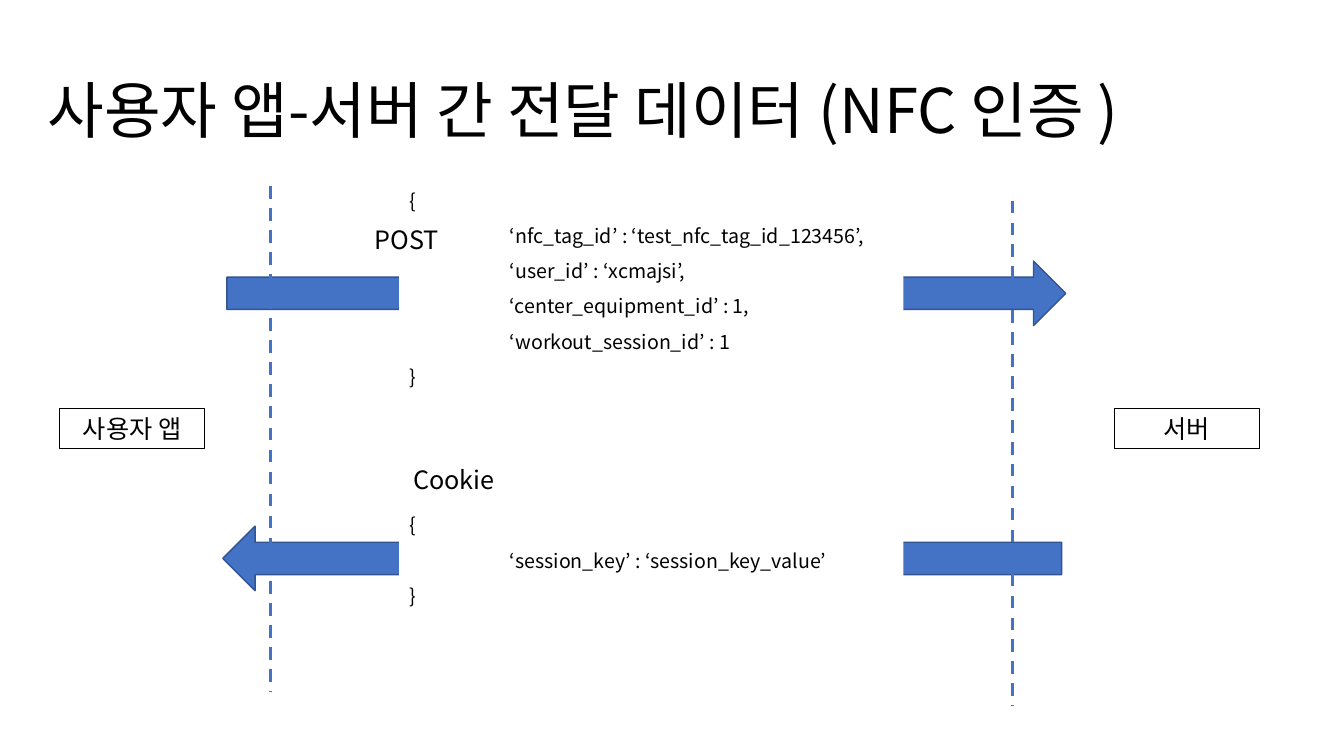
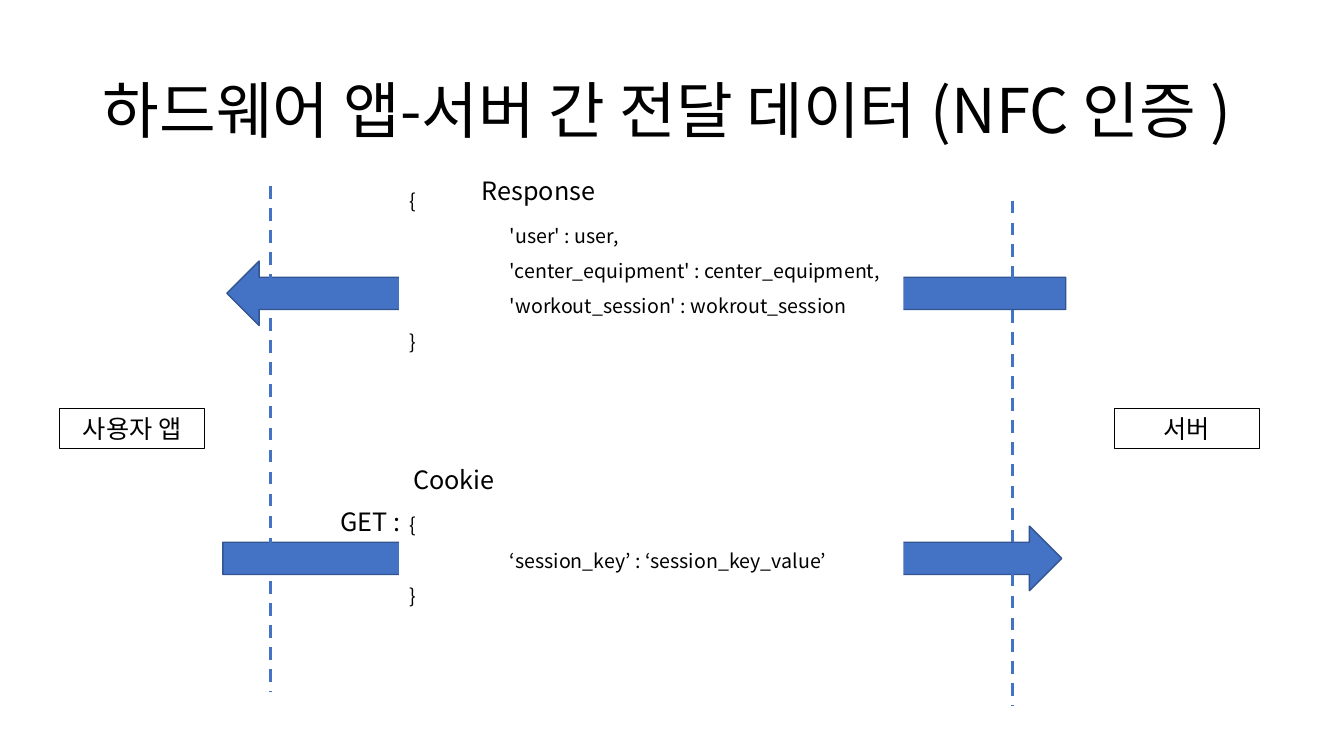
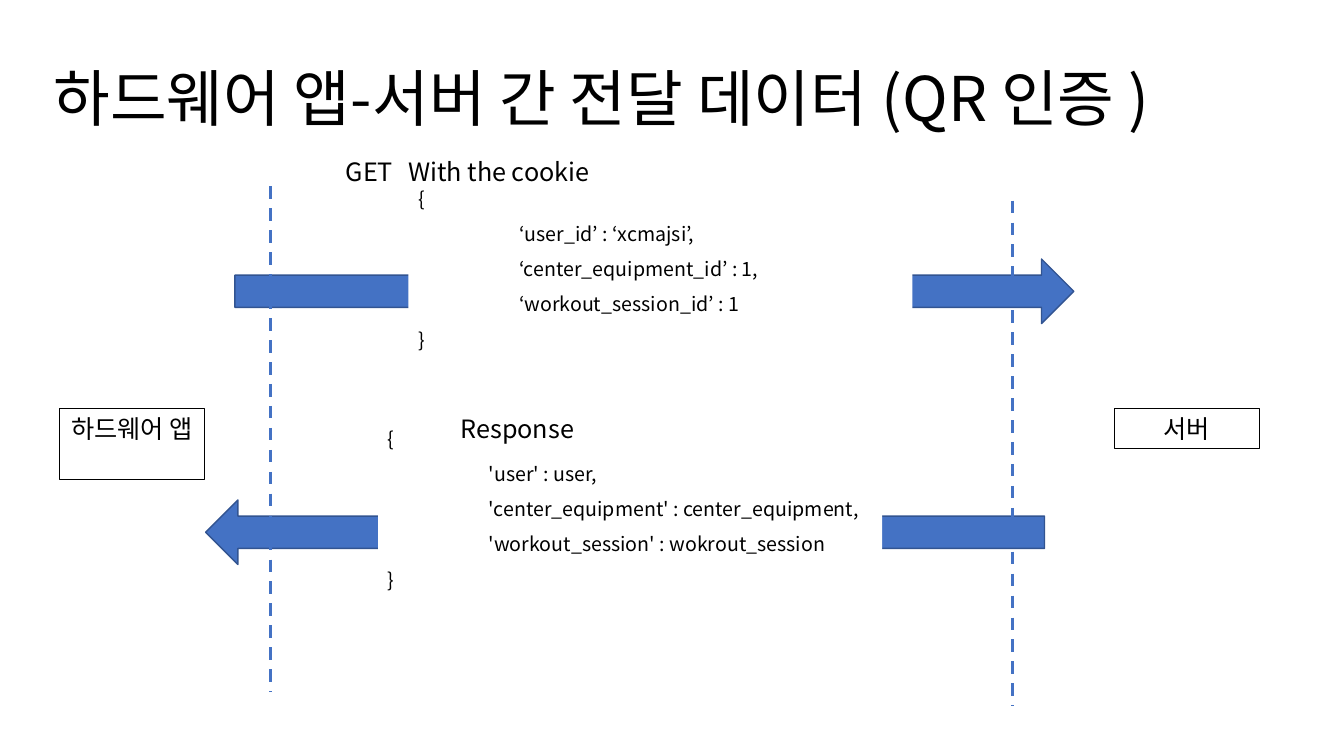
from dataclasses import dataclass

from lxml.etree import SubElement
from pptx import Presentation
from pptx.dml.color import RGBColor
from pptx.enum.dml import MSO_LINE
from pptx.enum.shapes import MSO_CONNECTOR, MSO_SHAPE
from pptx.enum.text import MSO_ANCHOR, MSO_AUTO_SIZE, PP_ALIGN
from pptx.oxml.ns import qn
from pptx.util import Inches, Pt


@dataclass(frozen=True)
class Theme:
    font: str = "Noto Sans CJK KR"
    ink: RGBColor = RGBColor(0, 0, 0)
    paper: RGBColor = RGBColor(255, 255, 255)
    accent: RGBColor = RGBColor(0x44, 0x72, 0xC4)
    accent_edge: RGBColor = RGBColor(0x32, 0x54, 0x91)
    title_size: Pt = Pt(44)
    label_size: Pt = Pt(18)
    code_size: Pt = Pt(14)


THEME = Theme()
LABEL_HEIGHT = 0.4
ARROW_SIZE = (8.32, 0.64)
LIFELINES = ((10.04, 1.99), (2.68, 1.85))
LIFELINE_LENGTH = 5.01
FIELD_INDENT = 1

SESSION_COOKIE = ("‘session_key’ : ‘session_key_value’",)
WORKOUT_IDS = (
    "‘user_id’ : ‘xcmajsi’,",
    "‘center_equipment_id’ : 1,",
    "‘workout_session_id’ : 1",
)
WORKOUT_RESPONSE = (
    "'user' : user,",
    "'center_equipment' : center_equipment,",
    "'workout_session' : wokrout_session",
)


@dataclass(frozen=True)
class Message:
    payload: tuple
    box: tuple
    arrow: tuple
    to_server: bool
    labels: tuple


def inches(*lengths):
    return [Inches(length) for length in lengths]


def write(frame, lines, size, align=PP_ALIGN.LEFT, line_spacing=None, space_before=0):
    frame.word_wrap = True
    frame.auto_size = MSO_AUTO_SIZE.NONE
    for index, line in enumerate(lines):
        paragraph = frame.paragraphs[0] if index == 0 else frame.add_paragraph()
        paragraph.text = line
        paragraph.alignment = align
        paragraph.line_spacing = line_spacing
        paragraph.space_before = Pt(space_before)
        paragraph.font.name = THEME.font
        paragraph.font.size = size
        paragraph.font.color.rgb = THEME.ink


def set_tab_stop(paragraph, position):
    properties = paragraph._p.get_or_add_pPr()
    tab_stops = SubElement(properties, qn("a:tabLst"))
    SubElement(tab_stops, qn("a:tab"), pos=str(Inches(position)), algn="l")
    properties.find(qn("a:defRPr")).addprevious(tab_stops)


def add_title(slide, text, box):
    title = slide.shapes.title
    title.left, title.top, title.width, title.height = inches(*box)
    title.text_frame.vertical_anchor = MSO_ANCHOR.MIDDLE
    write(title.text_frame, [text], THEME.title_size, line_spacing=0.9)


def add_label(slide, text, left, top, width):
    label = slide.shapes.add_textbox(*inches(left, top, width, LABEL_HEIGHT))
    write(label.text_frame, [text], THEME.label_size)


def add_party(slide, name, left, height=LABEL_HEIGHT):
    party = slide.shapes.add_textbox(*inches(left, 4.05, 1.44, height))
    party.line.color.rgb = THEME.ink
    party.line.width = Pt(0.75)
    write(party.text_frame, [name], THEME.label_size, PP_ALIGN.CENTER)


def add_lifeline(slide, x, top):
    lifeline = slide.shapes.add_connector(
        MSO_CONNECTOR.STRAIGHT, *inches(x, top, x, top + LIFELINE_LENGTH)
    )
    lifeline.line.color.rgb = THEME.accent
    lifeline.line.width = Pt(2.25)
    lifeline.line.dash_style = MSO_LINE.DASH
    SubElement(lifeline._element.spPr, qn("a:effectLst"))


def add_arrow(slide, position, to_server):
    arrow = slide.shapes.add_shape(
        MSO_SHAPE.RIGHT_ARROW, *inches(*position, *ARROW_SIZE)
    )
    arrow.rotation = 0 if to_server else 180
    arrow.shadow.inherit = False
    arrow.fill.solid()
    arrow.fill.fore_color.rgb = THEME.accent
    arrow.line.color.rgb = THEME.accent_edge
    arrow.line.width = Pt(1)


def add_payload(slide, fields, box):
    payload = slide.shapes.add_textbox(*inches(*box))
    payload.fill.solid()
    payload.fill.fore_color.rgb = THEME.paper
    lines = ["{", *("\t" + field for field in fields), "}"]
    write(payload.text_frame, lines, THEME.code_size, line_spacing=0.9, space_before=10)
    for paragraph in payload.text_frame.paragraphs:
        set_tab_stop(paragraph, FIELD_INDENT)


def add_exchange_slide(deck, title, title_box, app, messages, app_height=LABEL_HEIGHT):
    slide = deck.slides.add_slide(deck.slide_layouts[5])
    add_title(slide, title, title_box)
    for message in messages:
        add_arrow(slide, message.arrow, message.to_server)
    for message in messages:
        add_payload(slide, message.payload, message.box)
    add_party(slide, app, 0.59, app_height)
    add_party(slide, "서버", 11.05)
    for x, top in LIFELINES:
        add_lifeline(slide, x, top)
    for message in messages:
        for label in message.labels:
            add_label(slide, *label)


def cookie_message(to_server, *extra_labels):
    return Message(
        SESSION_COOKIE, (3.96, 5.07, 5, 1.15), (2.21, 5.22), to_server,
        (("Cookie", 4, 4.56, 2.36), *extra_labels),
    )


def main():
    deck = Presentation()
    deck.slide_width, deck.slide_height = inches(13.33, 7.5)

    add_exchange_slide(
        deck, "사용자 앱-서버 간 전달 데이터 (NFC 인증 )", (0.37, 0.4, 12.05, 1.45),
        "사용자 앱",
        (
            Message(
                ("‘nfc_tag_id’ : ‘test_nfc_tag_id_123456’,", *WORKOUT_IDS),
                (3.96, 1.85, 5, 2.12), (2.25, 2.59), True,
                (("POST", 3.62, 2.18, 2.11),),
            ),
            cookie_message(False),
        ),
    )
    add_exchange_slide(
        deck, "하드웨어 앱-서버 간 전달 데이터 (NFC 인증 )", (0.92, 0.4, 11.5, 1.45),
        "사용자 앱",
        (
            Message(
                WORKOUT_RESPONSE, (3.96, 1.85, 5, 2.12), (2.25, 2.59), False,
                (("Response", 4.68, 1.69, 2.11),),
            ),
            cookie_message(True, ("GET :", 3.28, 4.97, 2.11)),
        ),
    )
    add_exchange_slide(
        deck, "하드웨어 앱-서버 간 전달 데이터 (QR 인증 )", (0.43, 0.28, 12.47, 1.45),
        "하드웨어 앱",
        (
            Message(
                WORKOUT_IDS, (4.05, 1.83, 5, 2.12), (2.33, 2.57), True,
                (("GET", 3.33, 1.5, 3.52), ("With the cookie", 3.95, 1.5, 3.52)),
            ),
            Message(
                WORKOUT_RESPONSE, (3.75, 4.21, 5, 2.12), (2.04, 4.96), False,
                (("Response", 4.47, 4.05, 2.11),),
            ),
        ),
        app_height=0.71,
    )
    deck.save("out.pptx")


if __name__ == "__main__":
    main()
